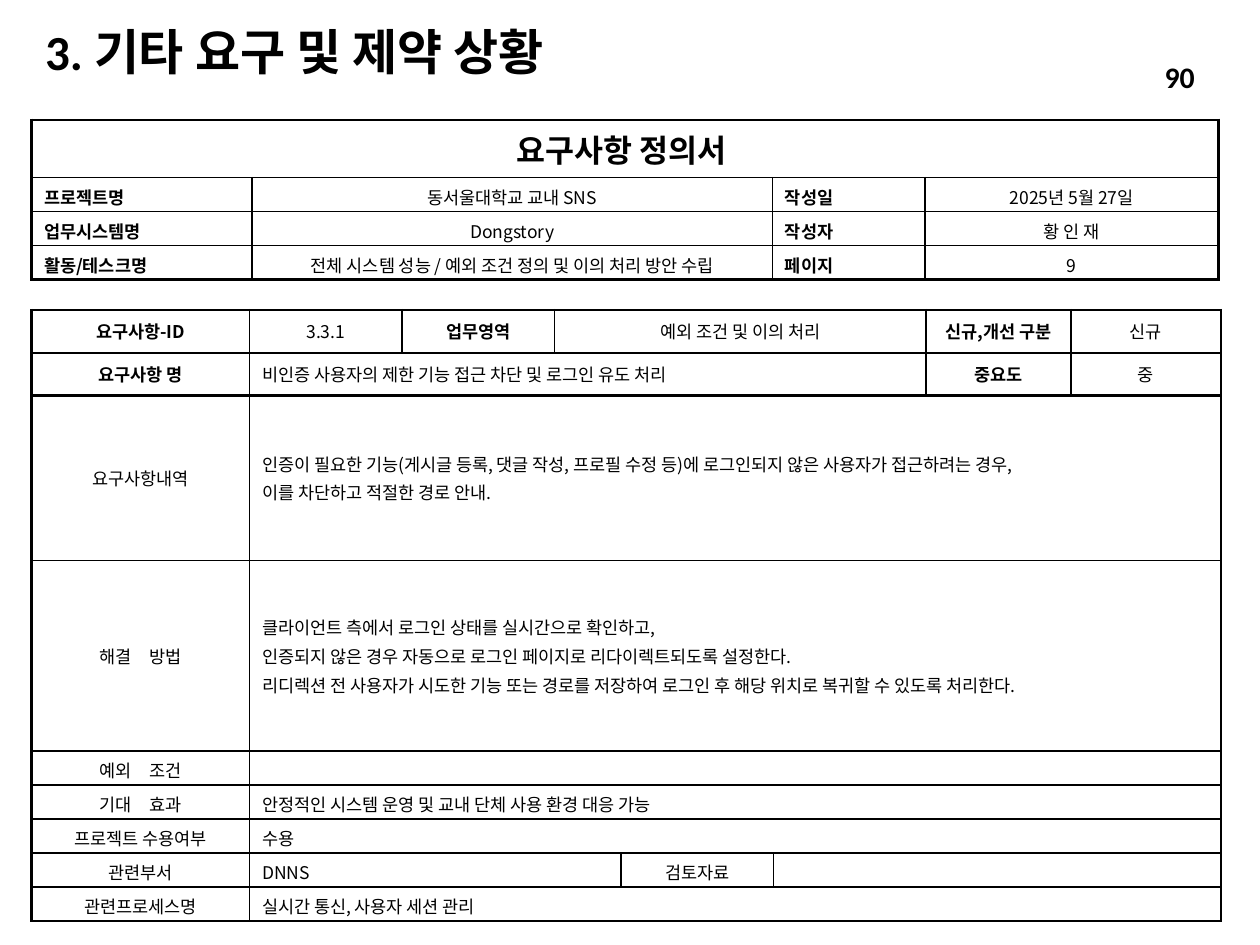
from dataclasses import dataclass

import lxml.etree
import pptx
import pptx.dml.color
import pptx.enum.text
import pptx.oxml.ns
import pptx.util

Inches = pptx.util.Inches
Pt = pptx.util.Pt
Align = pptx.enum.text.PP_ALIGN
Anchor = pptx.enum.text.MSO_ANCHOR
qn = pptx.oxml.ns.qn

COLORS = {"ink": "000000"}
KOREAN_FONT = "Noto Sans CJK KR"
LATIN_FONT = "Calibri"
OUTER_LINE, INNER_LINE = 1.5, 1


@dataclass(frozen=True)
class Entry:
    text: str
    span: int = 1
    bold: bool = False
    align: Align = Align.CENTER
    size: float = 10


@dataclass(frozen=True)
class Form:
    left: float
    top: float
    columns: list[float]
    heights: list[float]
    heavy_rules: set[int]  # horizontal rules, counted from the top edge
    anchors: list[Anchor]
    rows: list[list[Entry]]


def label(text: str) -> Entry:
    return Entry(text, bold=True)


def left_label(text: str) -> Entry:
    return Entry(text, bold=True, align=Align.JUSTIFY)


def answer(text: str, span: int = 7) -> Entry:
    return Entry(text, span, align=Align.LEFT)


def write_text(frame, text: str, *, size: float, font: str = KOREAN_FONT,
               bold: bool = False, align: Align = Align.LEFT,
               line_spacing: float | None = None) -> None:
    """Write one paragraph per line; an empty text still fixes the line height."""
    for index, line in enumerate(text.split("\n")):
        paragraph = frame.add_paragraph() if index else frame.paragraphs[0]
        paragraph.alignment = align
        if line_spacing:
            paragraph.line_spacing = line_spacing
        if index:
            paragraph.space_before = Pt(size * 0.2)
        if not line:
            lxml.etree.SubElement(paragraph._p, qn("a:endParaRPr"), sz=str(int(size * 100)))
            continue
        run = paragraph.add_run()
        run.text = line
        run.font.size = Pt(size)
        run.font.bold = bold
        run.font.name = font
        run.font.color.rgb = pptx.dml.color.RGBColor.from_string(COLORS["ink"])
        east_asian = lxml.etree.Element(qn("a:ea"), typeface=KOREAN_FONT)
        run.font._element.find(qn("a:latin")).addnext(east_asian)


def set_borders(cell, widths: dict[str, float]) -> None:
    """Draw the borders named L, R, T and B, with widths in points."""
    properties = cell._tc.get_or_add_tcPr()
    for side in "LRTB":
        if side in widths:
            line = lxml.etree.SubElement(properties, qn(f"a:ln{side}"), w=str(Pt(widths[side])))
            fill = lxml.etree.SubElement(line, qn("a:solidFill"))
            lxml.etree.SubElement(fill, qn("a:srgbClr"), val=COLORS["ink"])


def draw_form(slide, form: Form) -> None:
    column_count = len(form.columns)
    table = slide.shapes.add_table(
        len(form.rows), column_count, Inches(form.left), Inches(form.top),
        Inches(sum(form.columns)), Inches(sum(form.heights))).table
    table.first_row = table.horz_banding = False
    for column, width in zip(table.columns, form.columns):
        column.width = Inches(width)
    for row, height in zip(table.rows, form.heights):
        row.height = Inches(height)

    for row_index, entries in enumerate(form.rows):
        rules = {side: OUTER_LINE if rule in form.heavy_rules else INNER_LINE
                 for side, rule in (("T", row_index), ("B", row_index + 1))}
        first = 0
        for entry in entries:
            last = first + entry.span - 1
            cell = table.cell(row_index, first)
            if entry.span > 1:
                cell.merge(table.cell(row_index, last))
            for position in range(first, last + 1):
                widths = dict(rules)
                if position == first:
                    widths["L"] = INNER_LINE if first else OUTER_LINE
                if position in (first, last):
                    widths["R"] = OUTER_LINE if last == column_count - 1 else INNER_LINE
                covered = table.cell(row_index, position)
                set_borders(covered, widths)
                covered.fill.background()
            cell.vertical_anchor = form.anchors[row_index]
            write_text(cell.text_frame, entry.text, size=entry.size,
                       bold=entry.bold, align=entry.align)
            first = last + 1


def draw_heading(slide, text: str, left: float, top: float, width: float,
                 height: float, **text_format) -> None:
    frame = slide.shapes.add_textbox(
        Inches(left), Inches(top), Inches(width), Inches(height)).text_frame
    frame.word_wrap = True
    frame.vertical_anchor = Anchor.MIDDLE
    write_text(frame, text, font=LATIN_FONT, bold=True, **text_format)


REQUIREMENT = Form(
    left=0.25, top=2.46,
    columns=[1.73, 1.21, 1.21, 0.53, 1.21, 1.21, 1.15, 1.19],
    heights=[0.34, 0.34, 1.31, 1.51] + [0.27] * 5,
    heavy_rules={0, 1, 2, 9},
    anchors=[Anchor.MIDDLE] * 9,
    rows=[
        [label("요구사항-ID"), Entry("3.3.1"), label("업무영역"),
         Entry("예외 조건 및 이의 처리", 3), label("신규,개선 구분"), Entry("신규")],
        [label("요구사항 명"),
         answer("비인증 사용자의 제한 기능 접근 차단 및 로그인 유도 처리", 5),
         label("중요도"), Entry("중")],
        [Entry("요구사항내역"),
         answer("인증이 필요한 기능(게시글 등록, 댓글 작성, 프로필 수정 등)에 "
                "로그인되지 않은 사용자가 접근하려는 경우,\n"
                "이를 차단하고 적절한 경로 안내.")],
        [Entry("해결　방법"),
         answer("클라이언트 측에서 로그인 상태를 실시간으로 확인하고,\n"
                "인증되지 않은 경우 자동으로 로그인 페이지로 리다이렉트되도록 설정한다.\n"
                "리디렉션 전 사용자가 시도한 기능 또는 경로를 저장하여 "
                "로그인 후 해당 위치로 복귀할 수 있도록 처리한다.")],
        [Entry("예외　조건"), answer("")],
        [Entry("기대　효과"), answer("안정적인 시스템 운영 및 교내 단체 사용 환경 대응 가능")],
        [Entry("프로젝트 수용여부"), answer("수용")],
        [Entry("관련부서"), answer("DNNS", 3), Entry("검토자료"), answer("", 3)],
        [Entry("관련프로세스명"), answer("실시간 통신, 사용자 세션 관리")],
    ],
)

DOCUMENT_INFO = Form(
    left=0.25, top=0.95,
    columns=[1.75, 4.13, 1.21, 2.33],
    heights=[0.46] + [0.27] * 3,
    heavy_rules={0, 4},
    anchors=[Anchor.MIDDLE] + [Anchor.TOP] * 3,
    rows=[
        [Entry("요구사항 정의서 ", 4, bold=True, size=18)],
        [left_label("프로젝트명"), Entry("동서울대학교 교내 SNS"),
         left_label("작성일"), Entry("2025년 5월 27일")],
        [left_label("업무시스템명"), Entry("Dongstory"),
         left_label("작성자"), Entry("황 인 재")],
        [left_label("활동/테스크명"),
         Entry("전체 시스템 성능 / 예외 조건 정의 및 이의 처리 방안 수립"),
         left_label("페이지"), Entry("9")],
    ],
)


def main() -> None:
    presentation = pptx.Presentation()
    presentation.slide_width = Inches(10)
    presentation.slide_height = Inches(7.5)
    slide = presentation.slides.add_slide(presentation.slide_layouts[6])
    draw_heading(slide, "3. 기타 요구 및 제약 상황", 0.26, 0.21, 5.36, 0.44,
                 size=28, line_spacing=0.9)
    draw_form(slide, REQUIREMENT)
    draw_form(slide, DOCUMENT_INFO)
    draw_heading(slide, "90", 7.96, 0.41, 1.62, 0.4, size=17, align=Align.RIGHT)
    presentation.save("out.pptx")


if __name__ == "__main__":
    main()
